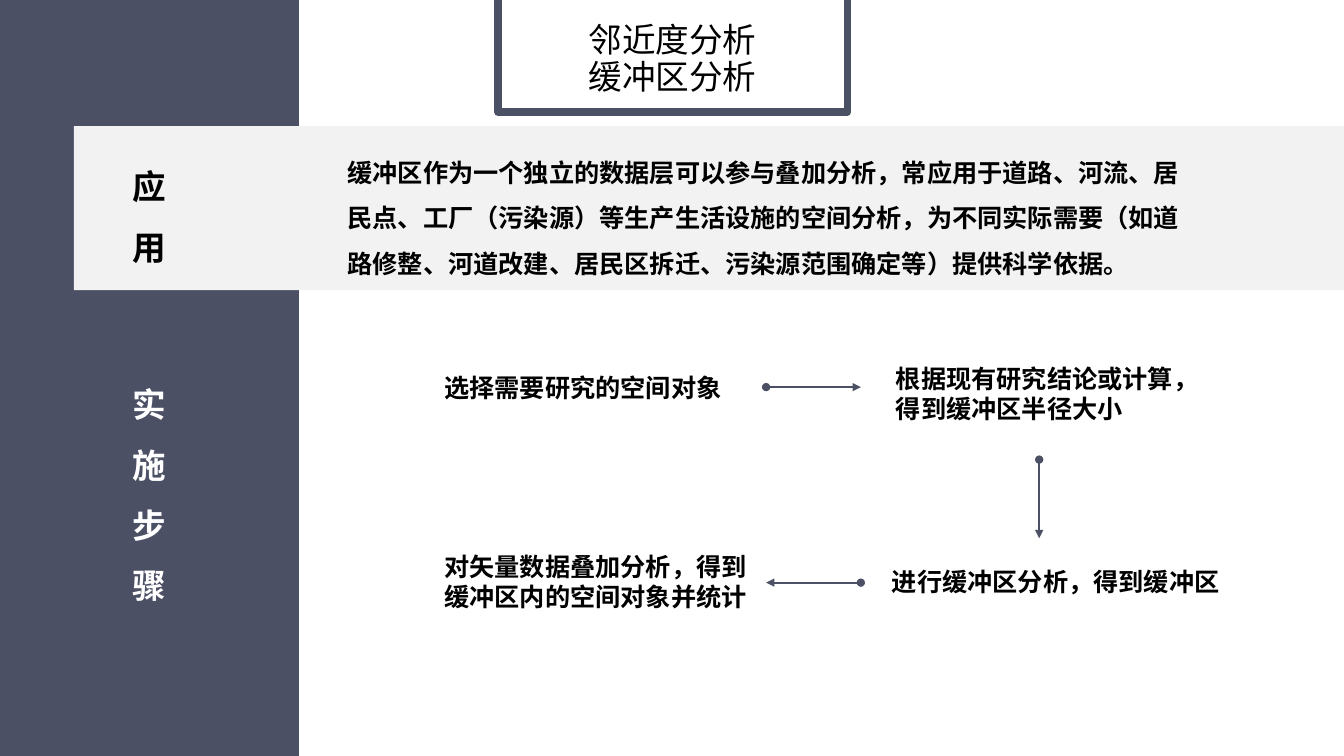
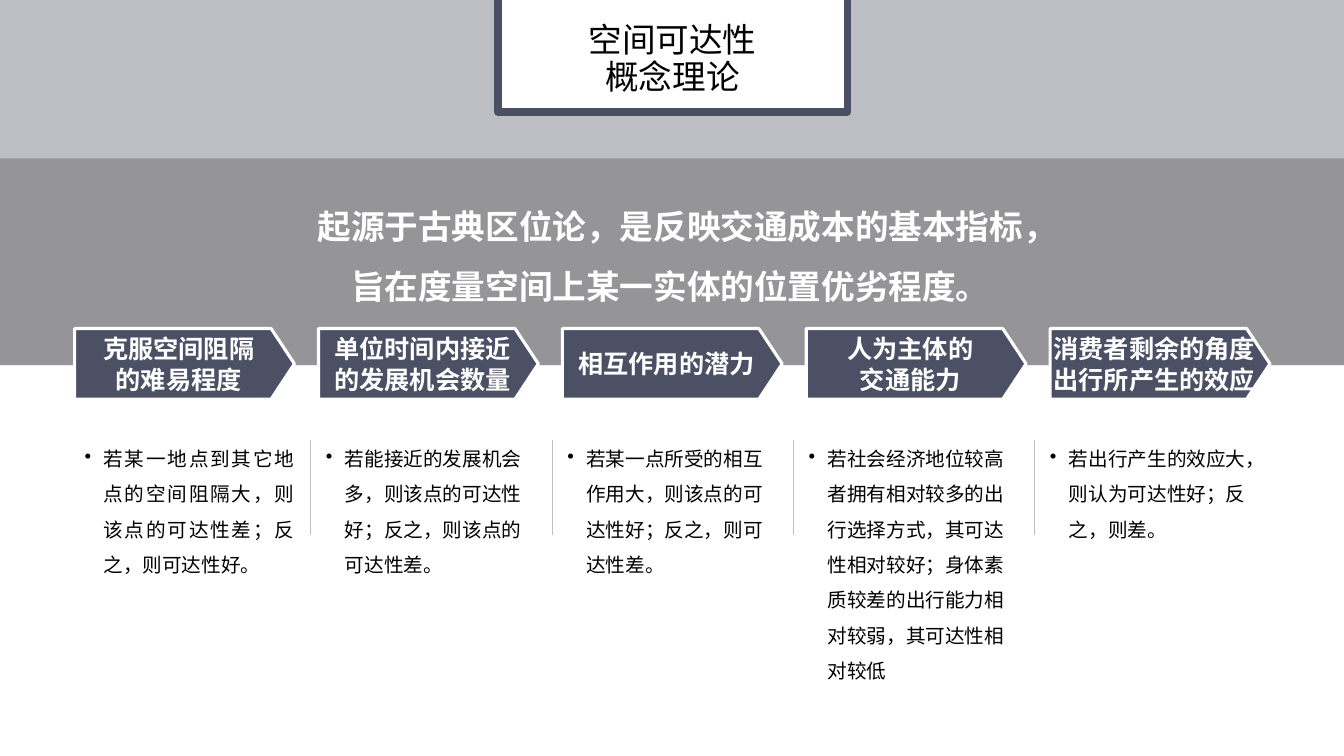
import pptx
import pptx.dml.color
import pptx.enum.shapes
import pptx.enum.text
import pptx.oxml
import pptx.oxml.ns
import pptx.util
from lxml import etree

Pt = pptx.util.Pt
qn = pptx.oxml.ns.qn
RGBColor = pptx.dml.color.RGBColor
SHAPE = pptx.enum.shapes.MSO_SHAPE
ALIGN = pptx.enum.text.PP_ALIGN
ANCHOR = pptx.enum.text.MSO_ANCHOR

# Shared look
FONT = "Noto Sans CJK SC"
SLATE = RGBColor(0x4B, 0x50, 0x64)
MIST = RGBColor(0x9A, 0x9B, 0xA3)
GRAY = RGBColor(0x80, 0x80, 0x80)
PALE = RGBColor(0xF2, 0xF2, 0xF2)
RULE = RGBColor(0xBF, 0xBF, 0xBF)
WHITE = RGBColor(0xFF, 0xFF, 0xFF)
BLACK = RGBColor(0x00, 0x00, 0x00)
SLIDE_W, SLIDE_H = 960, 540


def write(shape, text, size=18, color=BLACK, bold=True, align=ALIGN.LEFT,
          anchor=ANCHOR.TOP, spacing=1.0, inset=(7.2, 3.6), bullet=False):
    """Fill a shape with text, one paragraph per line."""
    frame = shape.text_frame
    frame.word_wrap = True
    frame.vertical_anchor = anchor
    frame.margin_left = frame.margin_right = Pt(inset[0])
    frame.margin_top = frame.margin_bottom = Pt(inset[1])
    frame.text = text
    for paragraph in frame.paragraphs:
        if bullet:
            properties = paragraph._p.get_or_add_pPr()
            properties.set("marL", str(Pt(13.5)))
            properties.set("indent", str(-Pt(13.5)))
            etree.SubElement(properties, qn("a:buChar"), char="•")
        paragraph.alignment = align
        paragraph.line_spacing = spacing
        for run in paragraph.runs:
            run.font.size = Pt(size)
            run.font.bold = bold
            run.font.color.rgb = color
            run.font.name = FONT
            etree.SubElement(run.font._element, qn("a:ea"), typeface=FONT)


def block(slide, kind, box, fill, opacity=100, line=None, line_width=1):
    """Add a filled preset shape."""
    shape = slide.shapes.add_shape(kind, *map(Pt, box))
    shape.shadow.inherit = False
    shape.fill.solid()
    shape.fill.fore_color.rgb = fill
    if opacity < 100:
        tint = shape._element.spPr.find(qn("a:solidFill"))[0]
        etree.SubElement(tint, qn("a:alpha"), val=str(opacity * 1000))
    if line is None:
        shape.line.fill.background()
    else:
        shape.line.color.rgb = line
        shape.line.width = Pt(line_width)
    return shape


deck = pptx.Presentation()
deck.slide_width, deck.slide_height = Pt(SLIDE_W), Pt(SLIDE_H)
buffer_slide = deck.slides.add_slide(deck.slide_layouts[6])
access_slide = deck.slides.add_slide(deck.slide_layouts[6])

# Background bands
block(buffer_slide, SHAPE.RECTANGLE, (0, 0, 213.6, SLIDE_H), SLATE)
block(buffer_slide, SHAPE.RECTANGLE, (52.8, 90, 907.2, 117.2), PALE)
block(access_slide, SHAPE.RECTANGLE, (0, 0, SLIDE_W, 260.8), MIST, opacity=64)
block(access_slide, SHAPE.RECTANGLE, (0, 113.2, SLIDE_W, 147.6), GRAY, opacity=65)

# Title tabs
for slide, title in ((buffer_slide, "邻近度分析\n缓冲区分析"),
                     (access_slide, "空间可达性\n概念理论")):
    block(slide, SHAPE.RECTANGLE, (355.7, -43.2, 249.8, 123.1), WHITE,
          line=SLATE, line_width=5.5)
    title_box = slide.shapes.add_textbox(Pt(364.5), Pt(18), Pt(231.8), Pt(49.7))
    write(title_box, title, size=24, bold=False, align=ALIGN.CENTER,
          anchor=ANCHOR.MIDDLE, spacing=0.9)

# Buffer slide: side headings, application and four steps
side = dict(size=24, align=ALIGN.CENTER, spacing=1.5)
passages = [
    ((79.2, 100.8, 54.7, 96.5), "应用", side),
    ((79.2, 256.3, 54.7, 191.5), "实施步骤", dict(side, color=WHITE)),
    ((241.2, 97.9, 611.3, 96.5),
     "缓冲区作为一个独立的数据层可以参与叠加分析，常应用于道路、河流、居民点、工厂"
     "（污染源）等生产生活设施的空间分析，为不同实际需要（如道路修整、河道改建、"
     "居民区拆迁、污染源范围确定等）提供科学依据。", dict(spacing=1.5)),
    ((310.3, 262.1, 223, 34.6), "选择需要研究的空间对象", {}),
    ((632.9, 255.6, 219.6, 51.1), "根据现有研究结论或计算，得到缓冲区半径大小", {}),
    ((630, 401, 277.2, 32.4), "进行缓冲区分析，得到缓冲区", {}),
    ((310.3, 390.2, 246.2, 51.1), "对矢量数据叠加分析，得到缓冲区内的空间对象并统计", {}),
]
for box, passage, style in passages:
    write(buffer_slide.shapes.add_textbox(*map(Pt, box)), passage, **style)

# Accessibility slide: definition
definition = access_slide.shapes.add_textbox(Pt(215.3), Pt(128.9), Pt(527), Pt(105.8))
write(definition, "起源于古典区位论，是反映交通成本的基本指标，旨在度量空间上某一实体的位置优劣程度。",
      size=24, color=WHITE, align=ALIGN.CENTER, spacing=1.5)

# Accessibility slide: five views, each a heading plate and its reading
views = [
    ("克服空间阻隔\n的难易程度",
     "若某一地点到其它地点的空间阻隔大，则该点的可达性差；反之，则可达性好。"),
    ("单位时间内接近\n的发展机会数量",
     "若能接近的发展机会多，则该点的可达性好；反之，则该点的可达性差。"),
    ("相互作用的潜力",
     "若某一点所受的相互作用大，则该点的可达性好；反之，则可达性差。"),
    ("人为主体的\n交通能力",
     "若社会经济地位较高者拥有相对较多的出行选择方式，其可达性相对较好；"
     "身体素质较差的出行能力相对较弱，其可达性相对较低"),
    ("消费者剩余的角度\n出行所产生的效应",
     "若出行产生的效应大，则认为可达性好；反之，则差。"),
]
VIEW_LEFT, PLATE_STEP, READING_STEP = 53.3, 174.2, 172.4
for index, (heading, reading) in enumerate(views):
    plate = block(access_slide, SHAPE.PENTAGON,
                  (VIEW_LEFT + index * PLATE_STEP, 234.7, 157, 50.4),
                  SLATE, line=WHITE, line_width=2.25)
    plate.adjustments[0] = 0.33
    write(plate, heading, color=WHITE, align=ALIGN.CENTER,
          anchor=ANCHOR.MIDDLE, inset=(0, 0))
    reading_box = access_slide.shapes.add_textbox(
        Pt(VIEW_LEFT + index * READING_STEP), Pt(307.4), Pt(164.2), Pt(187.2))
    write(reading_box, reading, size=14, bold=False, spacing=1.5, bullet=True,
          align=ALIGN.LEFT if index else ALIGN.JUSTIFY)

# Step arrows and column dividers
strokes = [
    (buffer_slide, (547.2, 276.5, 614.9, 276.5), SLATE, 1.5),
    (buffer_slide, (742.3, 328.3, 742.3, 384.5), SLATE, 1.5),
    (buffer_slide, (614.9, 416.2, 547.2, 416.2), SLATE, 1.5),
]
for index in range(len(views) - 1):
    x = 221.8 + index * READING_STEP
    strokes.append((access_slide, (x, 314.6, x, 382.3), RULE, 0.25))
for slide, ends, color, width in strokes:
    stroke = slide.shapes.add_connector(
        pptx.enum.shapes.MSO_CONNECTOR.STRAIGHT, *map(Pt, ends))
    stroke.line.color.rgb = color
    stroke.line.width = Pt(width)
    properties = stroke._element.spPr
    if slide is buffer_slide:
        outline = properties.find(qn("a:ln"))
        etree.SubElement(outline, qn("a:headEnd"), type="oval")
        etree.SubElement(outline, qn("a:tailEnd"), type="triangle")
    etree.SubElement(properties, qn("a:effectLst"))

deck.save("out.pptx")
